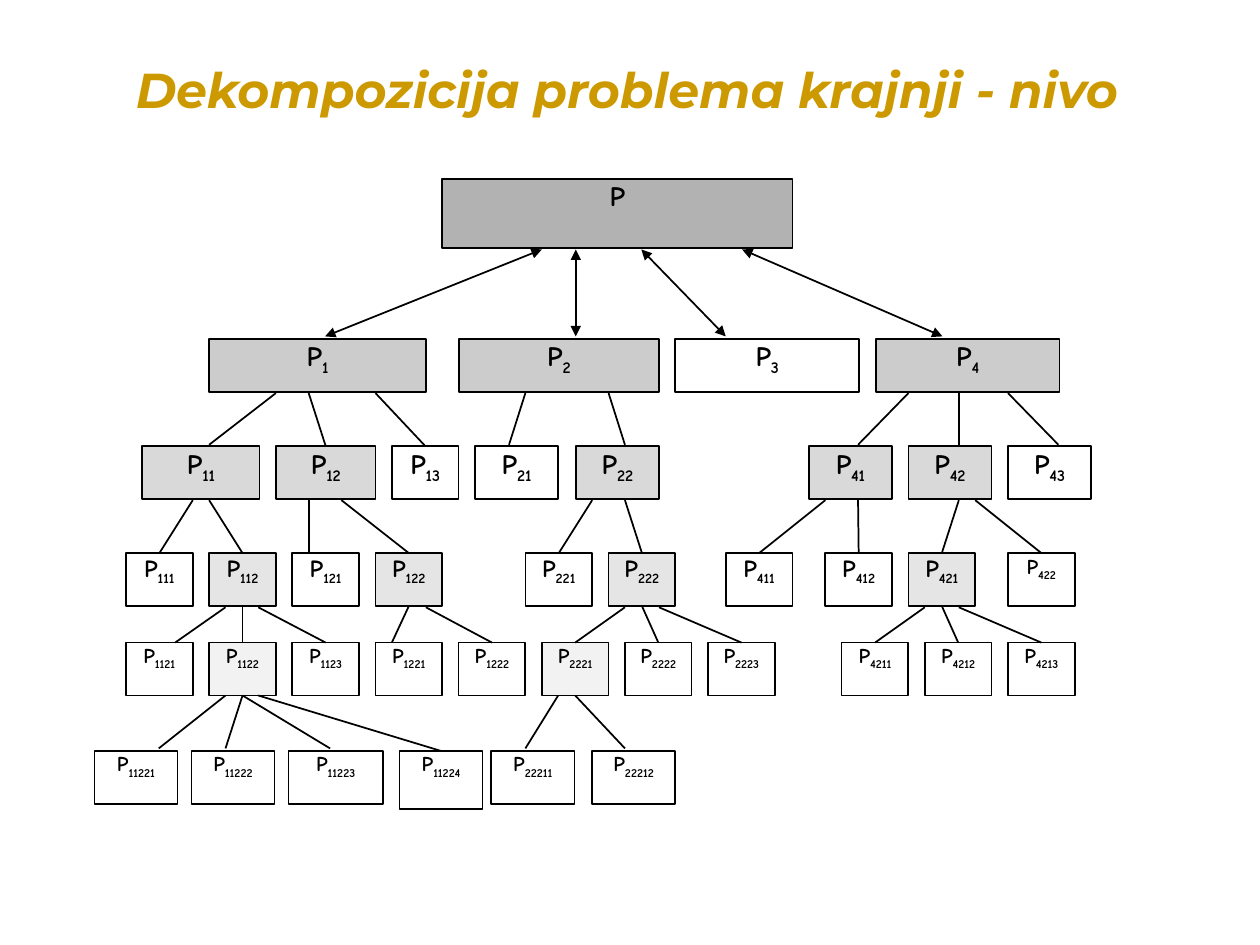
from dataclasses import dataclass

from lxml.etree import SubElement
from pptx import Presentation
from pptx.dml.color import RGBColor
from pptx.enum.shapes import MSO_CONNECTOR, MSO_SHAPE
from pptx.enum.text import MSO_ANCHOR, PP_ALIGN
from pptx.oxml.ns import qn
from pptx.util import Inches, Pt


@dataclass(frozen=True)
class Theme:
    title_font: str = "Montserrat"
    node_font: str = "Comic Neue"
    title_size: int = 28
    title_color: str = "CC9900"
    ink: str = "000000"
    line_width: int = 1
    # One entry per tree level, root first
    sizes: tuple = (16, 16, 16, 14, 12, 12)
    fills: tuple = ("B2B2B2", "CCCCCC", "D9D9D9", "E5E5E5", "F2F2F2")


THEME = Theme()

# Tree levels: box tops, and the y where links leave and arrive
TOPS = (1.42, 2.69, 3.54, 4.39, 5.1, 5.96)
LINK_STARTS = (1.98, 3.12, 3.97, 4.82, 5.52)
LINK_ENDS = (2.67, 3.53, 4.39, 5.1, 5.94)
NODE_HEIGHT = 0.42
HEIGHTS = {"": 0.55, "11224": 0.46}
SIZES = {"422": 12}

# Index: (left, width, link x at parent, link x at node).
# The length of an index is its level; its prefix names the parent.
NODES = {
    "": (3.51, 2.78, None, None),
    "1": (1.66, 1.72, 4.3, 2.58),
    "2": (3.64, 1.59, 4.57, 4.57),
    "3": (5.36, 1.46, 5.09, 5.76),
    "4": (6.95, 1.46, 5.89, 7.48),
    "11": (1.13, 0.93, 2.19, 1.66),
    "12": (2.19, 0.79, 2.45, 2.58),
    "13": (3.11, 0.53, 2.98, 3.38),
    "21": (3.77, 0.66, 4.17, 4.04),
    "22": (4.57, 0.66, 4.83, 4.96),
    "41": (6.42, 0.66, 7.21, 6.81),
    "42": (7.21, 0.66, 7.61, 7.61),
    "43": (8, 0.66, 8, 8.4),
    "111": (1, 0.53, 1.53, 1.26),
    "112": (1.66, 0.53, 1.66, 1.92),
    "121": (2.32, 0.53, 2.45, 2.45),
    "122": (2.98, 0.53, 2.71, 3.24),
    "221": (4.17, 0.53, 4.7, 4.43),
    "222": (4.83, 0.53, 4.96, 5.1),
    "411": (5.76, 0.53, 6.55, 6.02),
    "412": (6.55, 0.53, 6.81, 6.82),
    "421": (7.21, 0.53, 7.61, 7.48),
    "422": (8, 0.53, 7.74, 8.27),
    "1121": (1, 0.53, 1.79, 1.39),
    "1122": (1.66, 0.53, 1.92, 1.92),
    "1123": (2.32, 0.53, 2.05, 2.58),
    "1221": (2.98, 0.53, 3.24, 3.11),
    "1222": (3.64, 0.53, 3.38, 3.91),
    "2221": (4.3, 0.53, 4.96, 4.57),
    "2222": (4.96, 0.53, 5.09, 5.23),
    "2223": (5.62, 0.53, 5.23, 5.89),
    "4211": (6.68, 0.53, 7.34, 6.95),
    "4212": (7.34, 0.53, 7.48, 7.61),
    "4213": (8, 0.53, 7.61, 8.27),
    "11221": (0.75, 0.66, 1.79, 1.26),
    "11222": (1.52, 0.66, 1.92, 1.79),
    "11223": (2.29, 0.75, 1.92, 2.62),
    "11224": (3.17, 0.66, 2.05, 3.51),
    "22211": (3.9, 0.66, 4.43, 4.17),
    "22212": (4.7, 0.66, 4.57, 4.96),
}
PARENTS = {index[:-1] for index in NODES if index}


def set_font(p, name, size, color, italic=None):
    font = p.font
    font.name, font.size = name, Pt(size)
    font.bold, font.italic = True, italic
    font.color.rgb = RGBColor.from_string(color)


def set_line(line):
    line.color.rgb = RGBColor.from_string(THEME.ink)
    line.width = Pt(THEME.line_width)


def add_title(s, text):
    title = s.shapes.title
    title.left, title.top = Inches(0.42), Inches(0.42)
    title.width, title.height = Inches(9), Inches(0.57)
    tf = title.text_frame
    tf.vertical_anchor = MSO_ANCHOR.BOTTOM
    p = tf.paragraphs[0]
    p.alignment = PP_ALIGN.CENTER
    p.add_run().text = text
    set_font(p, THEME.title_font, THEME.title_size, THEME.title_color, True)


def add_node(s, index):
    level = len(index)
    left, width = NODES[index][:2]
    box = s.shapes.add_shape(
        MSO_SHAPE.RECTANGLE, Inches(left), Inches(TOPS[level]),
        Inches(width), Inches(HEIGHTS.get(index, NODE_HEIGHT)))
    box.shadow.inherit = False
    set_line(box.line)
    # Only problems that are split further are shaded
    if index in PARENTS:
        box.fill.solid()
        box.fill.fore_color.rgb = RGBColor.from_string(THEME.fills[level])
    else:
        box.fill.background()

    tf = box.text_frame
    tf.margin_left = tf.margin_top = tf.margin_right = tf.margin_bottom = 0
    tf.vertical_anchor = MSO_ANCHOR.TOP
    p = tf.paragraphs[0]
    p.alignment = PP_ALIGN.CENTER
    p.add_run().text = "P"
    if index:
        r = p.add_run()
        r.text = index
        r._r.get_or_add_rPr().set("baseline", "-25000")
    set_font(p, THEME.node_font, SIZES.get(index, THEME.sizes[level]), THEME.ink)
    return box


def is_centered(index, x):
    left, width = NODES[index][:2]
    return abs(left + width / 2 - x) < 0.02


def add_link(s, boxes, index):
    parent, level = index[:-1], len(index) - 1
    start_x, end_x = NODES[index][2:]
    link = s.shapes.add_connector(
        MSO_CONNECTOR.STRAIGHT, Inches(start_x), Inches(LINK_STARTS[level]),
        Inches(end_x), Inches(LINK_ENDS[level]))
    if is_centered(parent, start_x):
        link.begin_connect(boxes[parent], 2)
    if is_centered(index, end_x):
        link.end_connect(boxes[index], 0)
    set_line(link.line)
    # The root's links point both ways
    if not parent:
        ln = link.line._get_or_add_ln()
        for end in ("a:headEnd", "a:tailEnd"):
            SubElement(ln, qn(end), type="triangle")
    SubElement(link._element.spPr, qn("a:effectLst"))


def main():
    prs = Presentation()
    prs.slide_width, prs.slide_height = Inches(10), Inches(7.5)
    s = prs.slides.add_slide(prs.slide_layouts[5])

    # Heading
    add_title(s, " Dekompozicija problema krajnji - nivo")

    # Problem tree: boxes first, then the links between them
    boxes = {index: add_node(s, index) for index in NODES}
    for index in NODES:
        if index:
            add_link(s, boxes, index)

    prs.save("out.pptx")


if __name__ == "__main__":
    main()
